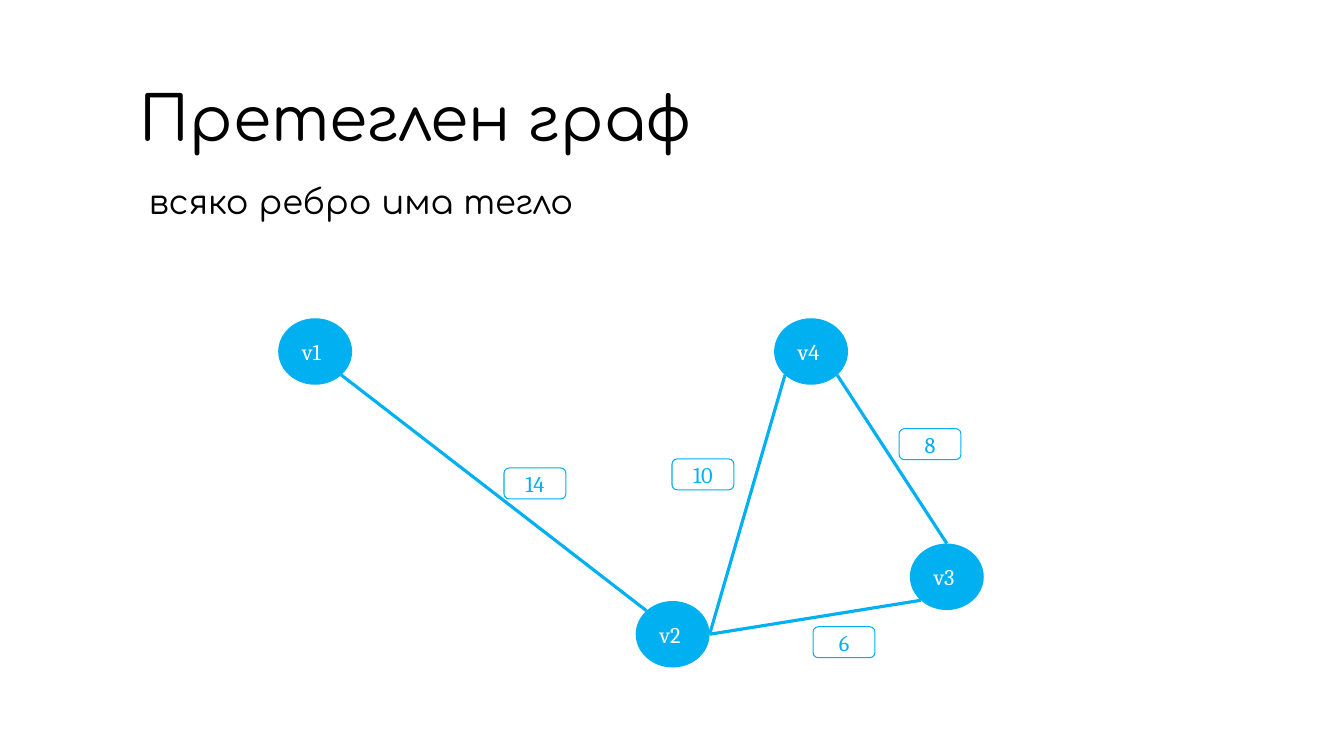
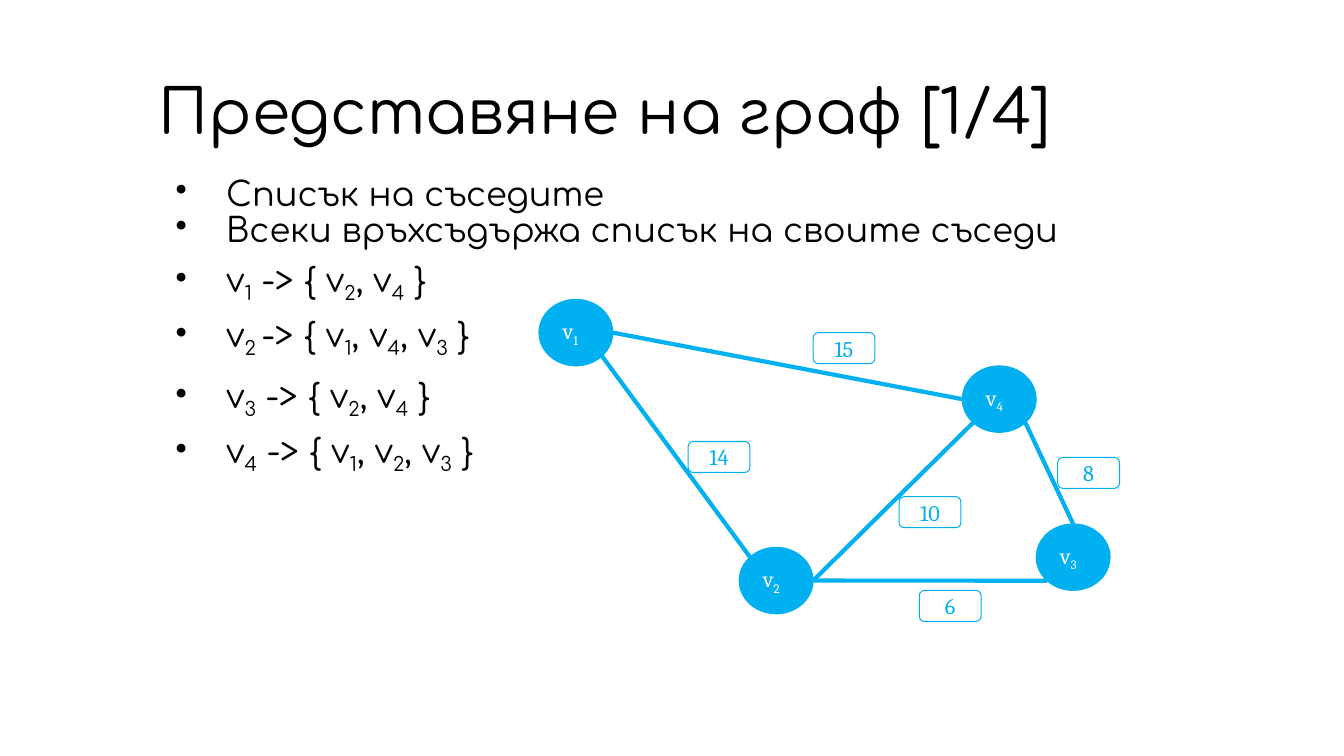
from math import cos, radians, sin

from lxml import etree
from pptx import Presentation
from pptx.dml.color import RGBColor
from pptx.enum.shapes import MSO_CONNECTOR, MSO_SHAPE
from pptx.enum.text import MSO_ANCHOR, PP_ALIGN
from pptx.oxml.ns import qn
from pptx.util import Inches, Pt

OVAL, BOX = MSO_SHAPE.OVAL, MSO_SHAPE.ROUNDED_RECTANGLE
STRAIGHT = MSO_CONNECTOR.STRAIGHT
TOP, MIDDLE = MSO_ANCHOR.TOP, MSO_ANCHOR.MIDDLE
LEFT, CENTER, JUSTIFY = PP_ALIGN.LEFT, PP_ALIGN.CENTER, PP_ALIGN.JUSTIFY

# Shared look
BLUE, WHITE, BLACK = "00B0F0", "FFFFFF", "000000"
HEAD_FONT, GRAPH_FONT = "Comfortaa", "Cambria"

# Grid: 100 columns by 100 rows over the slide
WIDTH, HEIGHT = 13.33, 7.5
NODE_SIZE = (5.5, 8.8)
LABEL_SIZE = (4.6, 4.1)

# Connection sites of an oval, counted anticlockwise from the top
S_TOP, S_TOP_LEFT, S_LEFT, S_LOW_LEFT, S_LOW_RIGHT, S_RIGHT = 0, 1, 2, 3, 5, 6

# Edges that both graphs share: node, site, node, site
EDGES = [
    (1, S_LOW_RIGHT, 2, S_TOP_LEFT),
    (2, S_RIGHT, 3, S_LOW_LEFT),
    (3, S_TOP, 4, S_LOW_RIGHT),
    (2, S_RIGHT, 4, S_LOW_LEFT),
]


def col(n):
    return Inches(WIDTH * n / 100)


def row(n):
    return Inches(HEIGHT * n / 100)


def place(x, y, w, h):
    return col(x), row(y), col(w), row(h)


def rgb(color):
    return RGBColor.from_string(color)


def set_frame(tf, anchor, inset_x, inset_y):
    tf.word_wrap = True
    tf.vertical_anchor = anchor
    tf.margin_left = tf.margin_right = Inches(inset_x)
    tf.margin_top = tf.margin_bottom = Inches(inset_y)


def write(p, text, size=24, font=HEAD_FONT, color=BLACK, align=LEFT,
          spacing=1.0, before=0, indent=0, hang=0, bullet=None):
    """Fill a paragraph; text between two ~ signs is subscript."""
    pPr = p._p.get_or_add_pPr()
    pPr.set("marL", str(Inches(indent)))
    pPr.set("indent", str(-Inches(hang)))
    if bullet:
        etree.SubElement(pPr, qn("a:buChar")).set("char", bullet)
    p.alignment, p.line_spacing, p.space_before = align, spacing, Pt(before)
    for i, part in enumerate(text.split("~")):
        if not part:
            continue
        r = p.add_run()
        r.text = part
        r.font.size, r.font.name = Pt(size), font
        r.font.color.rgb = rgb(color)
        if i % 2:
            r._r.get_or_add_rPr().set("baseline", "-25000")


def add_text(s, box, paragraphs, anchor=TOP):
    tf = s.shapes.add_textbox(*place(*box)).text_frame
    set_frame(tf, anchor, 0.12, 0.04)
    for i, (text, fmt) in enumerate(paragraphs):
        write(tf.paragraphs[0] if i == 0 else tf.add_paragraph(), text, **fmt)


def add_title(s, text, box):
    add_text(s, box, [(text, dict(size=44, spacing=0.9))], MIDDLE)


def add_graph_shape(s, kind, at, size, text, fill=None, line=None, **fmt):
    sp = s.shapes.add_shape(kind, *place(*at, *size))
    sp.shadow.inherit = False
    if fill:
        sp.fill.solid()
        sp.fill.fore_color.rgb = rgb(fill)
    else:
        sp.fill.background()
    if line:
        sp.line.color.rgb = rgb(line)
        sp.line.width = Pt(0.75)
    else:
        sp.line.fill.background()
    set_frame(sp.text_frame, MIDDLE, 0.13, 0.13)
    write(sp.text_frame.paragraphs[0], text, size=16, font=GRAPH_FONT, **fmt)
    return sp


def site_point(node, site):
    angle = radians(90 + 45 * site)
    return (round(node.left + node.width * (1 + cos(angle)) / 2),
            round(node.top + node.height * (1 - sin(angle)) / 2))


def add_edge(s, start, start_site, end, end_site, width):
    line = s.shapes.add_connector(
        STRAIGHT, *site_point(start, start_site), *site_point(end, end_site))
    line.line.color.rgb = rgb(BLUE)
    line.line.width = Pt(width)
    etree.SubElement(line._element.spPr, qn("a:effectLst"))
    # Glue both ends to their nodes
    glue = line._element.nvCxnSpPr.cNvCxnSpPr
    for tag, node, site in (("a:stCxn", start, start_site),
                            ("a:endCxn", end, end_site)):
        etree.SubElement(glue, qn(tag), id=str(node.shape_id), idx=str(site))


def add_graph(s, name, nodes, edges, weights, edge_width, outline=None):
    ovals = [add_graph_shape(s, OVAL, at, NODE_SIZE, name.format(i),
                             fill=BLUE, line=outline, color=WHITE)
             for i, at in enumerate(nodes, 1)]
    for a, a_site, b, b_site in edges:
        add_edge(s, ovals[a - 1], a_site, ovals[b - 1], b_site, edge_width)
    for weight, at in weights.items():
        add_graph_shape(s, BOX, at, LABEL_SIZE, str(weight),
                        line=BLUE, color=BLUE, align=CENTER)


def weighted_graph(s):
    add_title(s, "Претеглен граф", (9.5, 10.5, 80, 11.2))
    add_text(s, (8.9, 22.3, 78.4, 11.2), [
        ("всяко ребро има тегло",
         dict(align=JUSTIFY, spacing=1.2, indent=0.17))])
    add_graph(
        s, "v{}",
        nodes=[(20.7, 42.1), (47.3, 79.5), (67.7, 71.9), (57.6, 42.1)],
        edges=EDGES,
        weights={14: (37.5, 61.9), 6: (60.5, 82.9),
                 8: (66.9, 56.7), 10: (50, 60.7)},
        edge_width=2.25)


def neighbour_lists(s):
    add_title(s, "Представяне на граф [1/4]", (10.9, 9.5, 78.3, 11.2))
    item = dict(indent=0.67, hang=0.5, bullet="•", spacing=0.9)
    entry = dict(item, align=JUSTIFY, spacing=1.2)
    add_text(s, (10.9, 22.9, 78.8, 66.4), [
        ("Списък на съседите", item),
        ("Всеки връхсъдържа списък на своите съседи", item),
        ("v~1~ -> { v~2~, v~4~ }", entry),
        ("v~2 ~-> { v~1~, v~4~, v~3~ }", entry),
        ("v~3~ -> { v~2~, v~4~ }", dict(entry, before=4)),
        ("v~4~ -> { v~1~, v~2~, v~3~ }", entry)])
    add_graph(
        s, "v~{}~",
        nodes=[(40.1, 39.6), (55, 72.4), (77.1, 69.3), (71.6, 48.4)],
        edges=EDGES + [(1, S_RIGHT, 4, S_LEFT)],
        weights={14: (51.2, 58.4), 6: (68.4, 78.1), 8: (78.7, 60.5),
                 10: (66.9, 65.7), 15: (60.5, 44)},
        edge_width=3, outline=BLUE)


def main():
    prs = Presentation()
    prs.slide_width, prs.slide_height = Inches(WIDTH), Inches(HEIGHT)
    blank = prs.slide_layouts[6]
    for build in (weighted_graph, neighbour_lists):
        build(prs.slides.add_slide(blank))
    prs.save("out.pptx")


if __name__ == "__main__":
    main()
